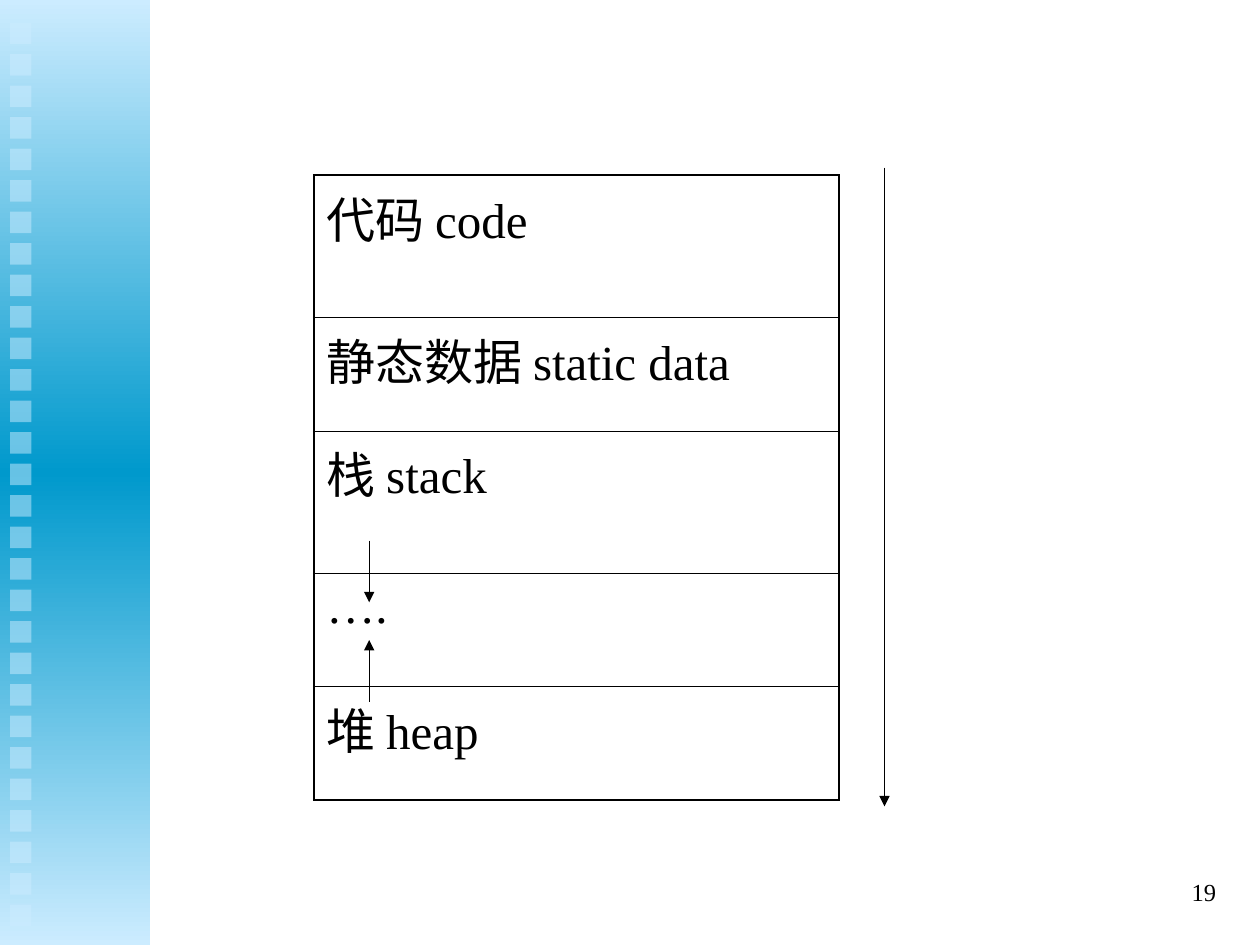
import copy

import pptx
import pptx.dml.color
import pptx.enum.dml
import pptx.enum.shapes
import pptx.enum.text
import pptx.oxml
import pptx.oxml.ns
import pptx.util
from lxml import etree
from pptx.util import Inches

BLACK = pptx.dml.color.RGBColor(0x00, 0x00, 0x00)
PALE = pptx.dml.color.RGBColor(0xCC, 0xEC, 0xFF)
BLUE = pptx.dml.color.RGBColor(0x00, 0x99, 0xCC)
FONT = "Times New Roman"
OUTER, INNER = 1.08, 0.45

SEGMENTS = [
    ("代码 code", 1.13),
    ("静态数据 static data", 0.9),
    ("栈 stack", 1.13),
    ("….", 0.9),
    ("堆 heap", 0.9),
]


def sub(parent, tag, **attrs):
    return etree.SubElement(parent, pptx.oxml.ns.qn(tag), **attrs)


def add_run(p, text, size):
    r = p.add_run()
    r.text = text
    r.font.name = FONT
    r.font.size = pptx.util.Pt(size)
    r.font.color.rgb = BLACK


def add_rect(shapes, left, top, width, height):
    s = shapes.add_shape(pptx.enum.shapes.MSO_SHAPE.RECTANGLE,
                         Inches(left), Inches(top), Inches(width), Inches(height))
    s.shadow.inherit = False
    s.line.fill.background()
    return s


def add_sidebar(slide, left, top, width, height):
    """Gradient band with a column of translucent squares."""
    group = slide.shapes.add_group_shape()
    band = add_rect(group.shapes, left, top, width, height)
    band.fill.gradient()
    band.fill.gradient_angle = 90
    stops = band.fill.gradient_stops
    for stop, color in zip(stops, (PALE, BLUE)):
        stop.color.rgb = color
    stops[0].position, stops[1].position = 0, 0.5
    gs_list = band._element.spPr.find(".//" + pptx.oxml.ns.qn("a:gsLst"))
    last = copy.deepcopy(gs_list[0])
    last.set("pos", "100000")
    gs_list.append(last)

    for i in range(29):
        square = add_rect(group.shapes, left + 0.08, top + 0.18 + 0.25 * i, 0.17, 0.17)
        square.fill.solid()
        square.fill.fore_color.rgb = PALE
        color = square._element.spPr.find(".//" + pptx.oxml.ns.qn("a:srgbClr"))
        sub(color, "a:alpha", val="50000")


def set_borders(cell, top, bottom):
    tc_pr = cell._tc.get_or_add_tcPr()
    sides = (("a:lnL", OUTER), ("a:lnR", OUTER), ("a:lnT", top), ("a:lnB", bottom))
    for i, (tag, width) in enumerate(sides):
        ln = sub(tc_pr, tag, w=str(pptx.util.Pt(width)))
        sub(sub(ln, "a:solidFill"), "a:srgbClr", val=str(BLACK))
        tc_pr.insert(i, ln)


def add_memory_table(slide, left, top, width):
    height = sum(h for _, h in SEGMENTS)
    table = slide.shapes.add_table(len(SEGMENTS), 1, Inches(left), Inches(top),
                                   Inches(width), Inches(height)).table
    table.first_row = table.horz_banding = False
    last = len(SEGMENTS) - 1
    for i, (label, row_height) in enumerate(SEGMENTS):
        table.rows[i].height = Inches(row_height)
        cell = table.cell(i, 0)
        cell.fill.background()
        set_borders(cell, OUTER if i == 0 else INNER, OUTER if i == last else INNER)
        p = cell.text_frame.paragraphs[0]
        p.space_before = pptx.util.Pt(7)
        add_run(p, label, 28)


def add_arrow(slide, x, start, end):
    """Vertical arrow with its head at the end."""
    line = slide.shapes.add_connector(pptx.enum.shapes.MSO_CONNECTOR.STRAIGHT,
                                      Inches(x), Inches(start), Inches(x), Inches(end))
    line.line.color.rgb = BLACK
    line.line.width = pptx.util.Pt(0.75)
    sub(line.line._get_or_add_ln(), "a:tailEnd", type="triangle")
    sub(line._element.spPr, "a:effectLst")


def add_page_number(slide, left, top, width, height):
    tf = slide.shapes.add_textbox(Inches(left), Inches(top),
                                  Inches(width), Inches(height)).text_frame
    tf.word_wrap = True
    tf.vertical_anchor = pptx.enum.text.MSO_ANCHOR.MIDDLE
    p = tf.paragraphs[0]
    p.alignment = pptx.enum.text.PP_ALIGN.RIGHT
    add_run(p, "19", 14)


def main():
    prs = pptx.Presentation()
    prs.slide_width, prs.slide_height = Inches(10), Inches(7.5)
    slide = prs.slides.add_slide(prs.slide_layouts[6])
    add_sidebar(slide, 0, 0, 1.19, 7.5)
    add_memory_table(slide, 2.49, 1.39, 4.17)
    add_arrow(slide, 2.93, 4.29, 4.78)
    add_arrow(slide, 2.93, 5.57, 5.08)
    add_arrow(slide, 7.02, 1.33, 6.4)
    add_page_number(slide, 7.67, 6.83, 2.08, 0.5)
    prs.save("out.pptx")


if __name__ == "__main__":
    main()
